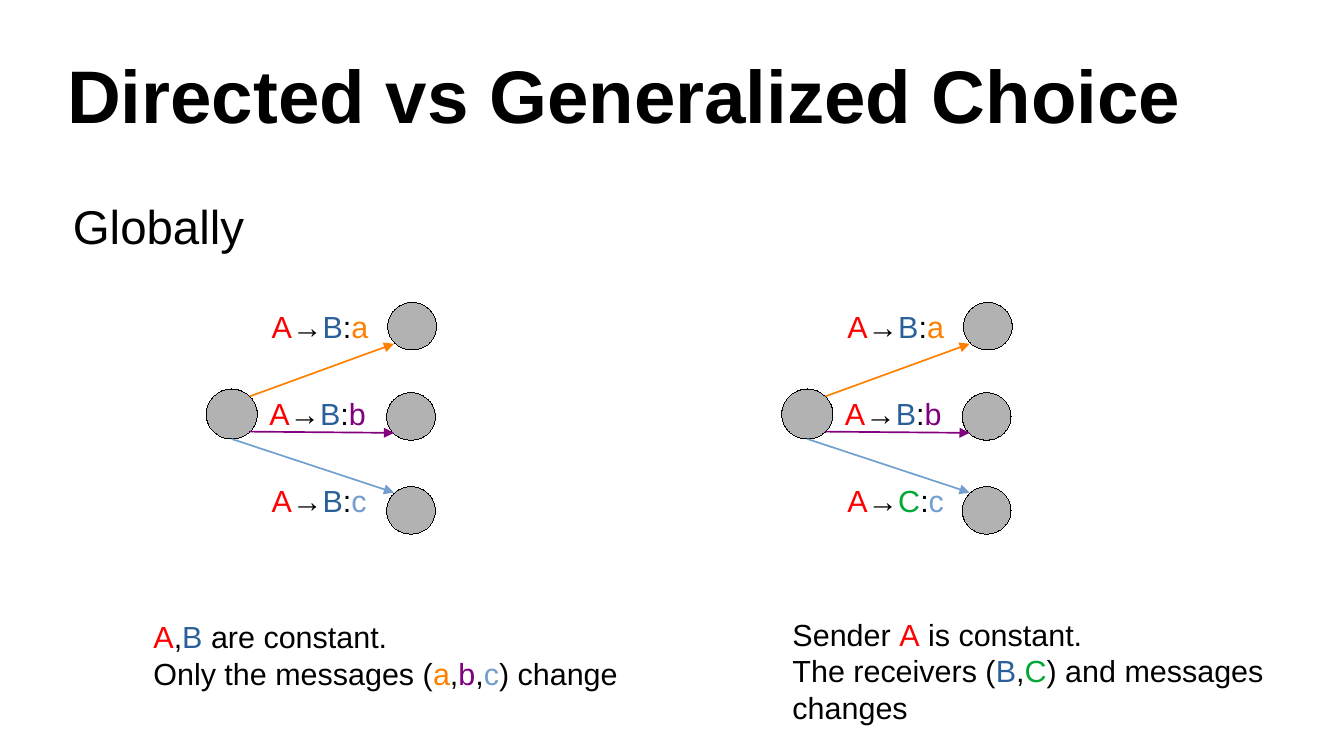
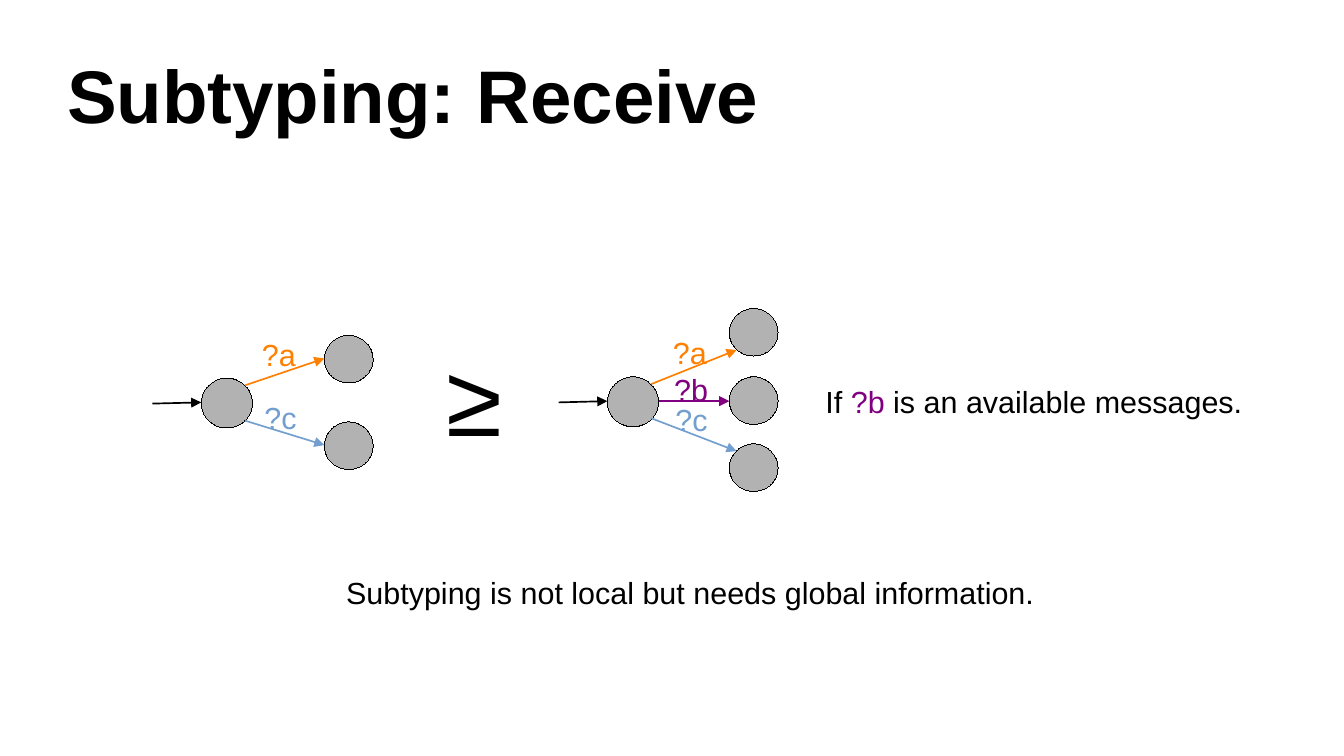
from pptx import Presentation
from pptx.dml.color import RGBColor
from pptx.enum.shapes import MSO_CONNECTOR, MSO_SHAPE
from pptx.enum.text import MSO_ANCHOR, MSO_AUTO_SIZE, PP_ALIGN
from pptx.oxml.ns import qn
from pptx.util import Inches, Pt
from lxml import etree

OVAL = MSO_SHAPE.OVAL
STRAIGHT = MSO_CONNECTOR.STRAIGHT
MIDDLE = MSO_ANCHOR.MIDDLE
LEFT = PP_ALIGN.LEFT
NO_FIT, GROW = MSO_AUTO_SIZE.NONE, MSO_AUTO_SIZE.SHAPE_TO_FIT_TEXT

BLACK = RGBColor(0x00, 0x00, 0x00)
GRAY = RGBColor(0xB2, 0xB2, 0xB2)
RED = RGBColor(0xFF, 0x00, 0x00)
BLUE = RGBColor(0x2A, 0x60, 0x99)
GREEN = RGBColor(0x00, 0xA9, 0x33)
ORANGE = RGBColor(0xFF, 0x80, 0x00)
PURPLE = RGBColor(0x80, 0x00, 0x80)
SKY = RGBColor(0x72, 0x9F, 0xCF)

# Participants and messages keep one colour throughout
NAME_COLORS = {"A": RED, "B": BLUE, "C": GREEN, "a": ORANGE, "b": PURPLE, "c": SKY}

START_SIZE = (0.42, 0.41)
TARGET_SIZE = (0.4, 0.39)
TITLE_ONLY = 5


class StateDeck:
    """Holds the shared style and the current slide."""

    font = "Arial"
    title_box = (0.55, 0.25, 9.92, 1.04)

    def __init__(self):
        self.deck = Presentation()
        self.deck.slide_width = Inches(11.02)
        self.deck.slide_height = Inches(6.2)
        self.page = None

    def add_span(self, para, text, size, color=BLACK, bold=False):
        span = para.add_run()
        span.text = text
        formats = {"name": self.font, "size": Pt(size), "bold": bold}
        for key, value in formats.items():
            setattr(span.font, key, value)
        span.font.color.rgb = color

    def new_page(self, title):
        self.page = self.deck.slides.add_slide(self.deck.slide_layouts[TITLE_ONLY])
        box = self.page.shapes.title
        for key, value in zip(("left", "top", "width", "height"), self.title_box):
            setattr(box, key, Inches(value))
        frame = box.text_frame
        formats = {"margin_left": 0, "margin_top": 0, "margin_right": 0,
                   "margin_bottom": 0, "vertical_anchor": MIDDLE,
                   "word_wrap": True, "auto_size": NO_FIT}
        for key, value in formats.items():
            setattr(frame, key, value)
        para = frame.paragraphs[0]
        para.alignment = LEFT
        self.add_span(para, title, 44, bold=True)

    def text(self, place, lines, size=18):
        """Write lines; names in braces take the colour of their last letter."""
        box = self.page.shapes.add_textbox(*map(Inches, place))
        frame = box.text_frame
        frame.word_wrap = True
        frame.auto_size = GROW
        for number, line in enumerate(lines):
            para = frame.add_paragraph() if number else frame.paragraphs[0]
            para.alignment = LEFT
            for index, part in enumerate(line.replace("}", "{").split("{")):
                if part:
                    color = NAME_COLORS[part[-1]] if index % 2 else BLACK
                    self.add_span(para, part, size, color)

    def state(self, left, top, size=TARGET_SIZE):
        circle = self.page.shapes.add_shape(OVAL, *map(Inches, (left, top, *size)))
        circle.shadow.inherit = False
        circle.fill.solid()
        circle.fill.fore_color.rgb = GRAY
        circle.line.color.rgb = BLACK
        # A hairline needs its zero width written out
        circle.line._get_or_add_ln().set("w", "0")

    def arrow(self, start, end, color=BLACK):
        line = self.page.shapes.add_connector(STRAIGHT, *map(Inches, (*start, *end)))
        line.line.color.rgb = color
        line.line.width = Pt(1)
        properties = line.line._get_or_add_ln()
        etree.SubElement(properties, qn("a:tailEnd"), type="triangle")
        etree.SubElement(line._element.spPr, qn("a:effectLst"))

    def machine(self, left, top, label_width, branches):
        """Draw a start state and its branches, placed relative to it."""
        self.state(left, top, START_SIZE)
        for message, target, start, end, label, text in branches:
            self.state(left + target[0], top + target[1])
            self.arrow((left + start[0], top + start[1]),
                       (left + end[0], top + end[1]), NAME_COLORS[message])
            self.text((left + label[0], top + label[1], label_width, 0.38), [text])

    def entry(self, left, top):
        """Draw the arrow that leads into a start state."""
        self.arrow((left - 0.4, top + 0.21), (left, top + 0.2))


def choice_branches(last_receiver):
    # message, target, arrow start, arrow end, label, label text
    return [
        ("a", (1.49, -0.71), (0.36, 0.06), (1.54, -0.37), (0.44, -0.71),
         "{A}→{B}:{a}"),
        ("b", (1.48, 0.03), (0.36, 0.35), (1.54, 0.36), (0.42, 0),
         "{A}→{B}:{b}"),
        ("c", (1.48, 0.8), (0.21, 0.41), (1.54, 0.85), (0.44, 0.71),
         "{A}→{%s}:{c}" % last_receiver),
    ]


def build_choice(slides):
    slides.new_page("Directed vs Generalized Choice")
    slides.text((0.5, 1.57, 1.7, 0.53), ["Globally"], 28)
    for left, last_receiver in ((1.69, "B"), (6.41, "C")):
        slides.machine(left, 3.19, 1.1, choice_branches(last_receiver))
    slides.text((1.16, 5.02, 4.2, 0.66),
                ["{A},{B} are constant.",
                 "Only the messages ({a},{b},{c}) change"])
    slides.text((6.4, 5, 4.2, 0.94),
                ["Sender {A} is constant.",
                 "The receivers ({B},{C}) and messages",
                 "changes"])


def build_subtyping(slides):
    slides.new_page("Subtyping: Receive")
    # Two-branch receiver
    slides.entry(1.65, 3.1)
    slides.machine(1.65, 3.1, 0.6, [
        ("a", (1.01, -0.35), (0.36, 0.06), (1.01, -0.16), (0.4, -0.39), "{?a}"),
        ("c", (1.01, 0.36), (0.36, 0.35), (1.01, 0.55), (0.42, 0.12), "{?c}"),
    ])
    # Three-branch receiver
    slides.entry(4.98, 3.09)
    slides.machine(4.98, 3.09, 0.6, [
        ("a", (1, -0.56), (0.36, 0.06), (1.06, -0.22), (0.44, -0.4), "{?a}"),
        ("b", (1, 0), (0.42, 0.2), (1, 0.2), (0.45, -0.1), "{?b}"),
        ("c", (1, 0.55), (0.36, 0.34), (1.06, 0.61), (0.46, 0.15), "{?c}"),
    ])
    # Relation and remarks
    slides.text((3.56, 2.7, 0.8, 1.03), ["≥"], 60)
    slides.text((6.67, 3.09, 3.8, 0.38), ["If {?b} is an available messages."])
    slides.text((2.74, 4.66, 6, 0.38),
                ["Subtyping is not local but needs global information."])


def main():
    slides = StateDeck()
    build_choice(slides)
    build_subtyping(slides)
    slides.deck.save("out.pptx")


if __name__ == "__main__":
    main()
